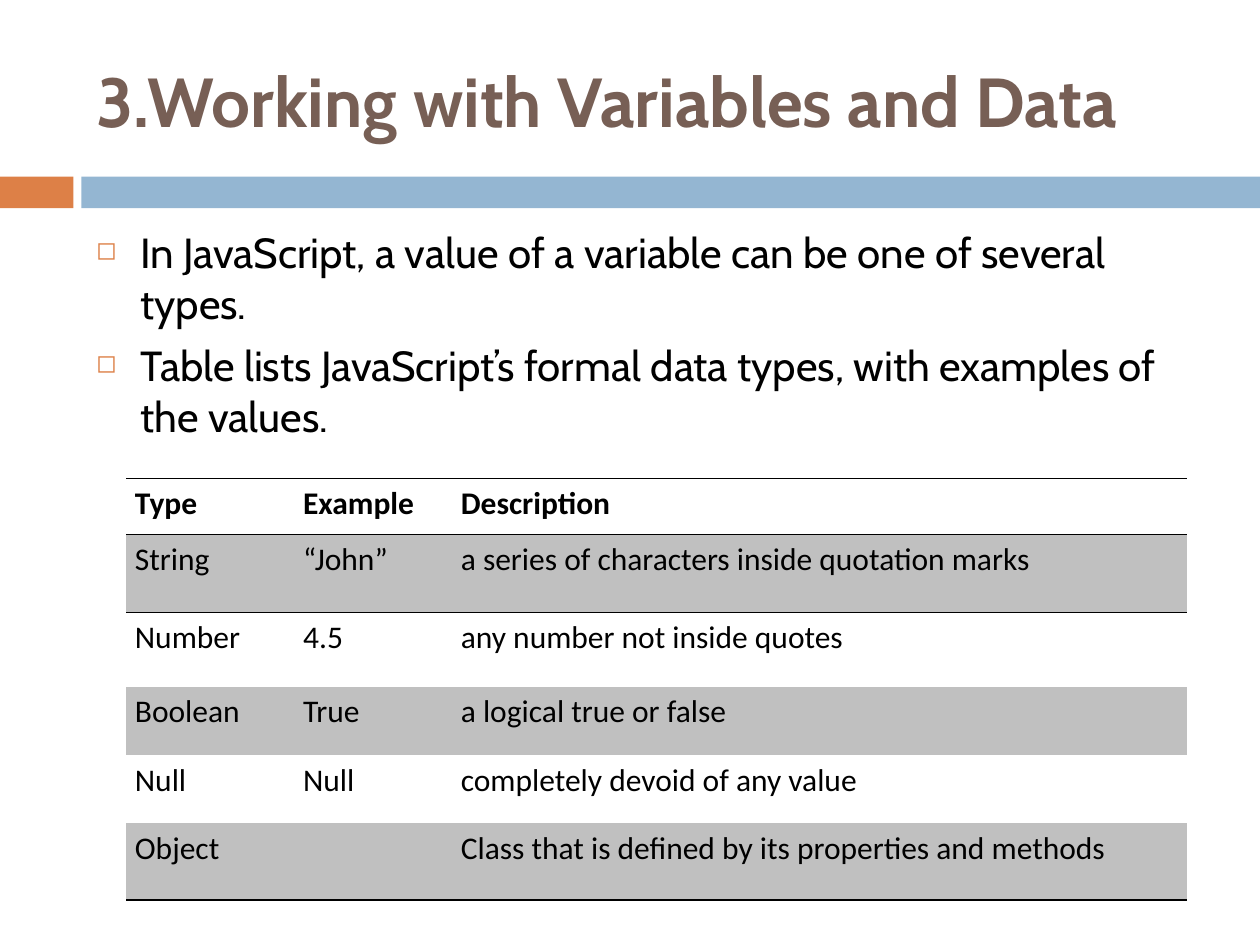
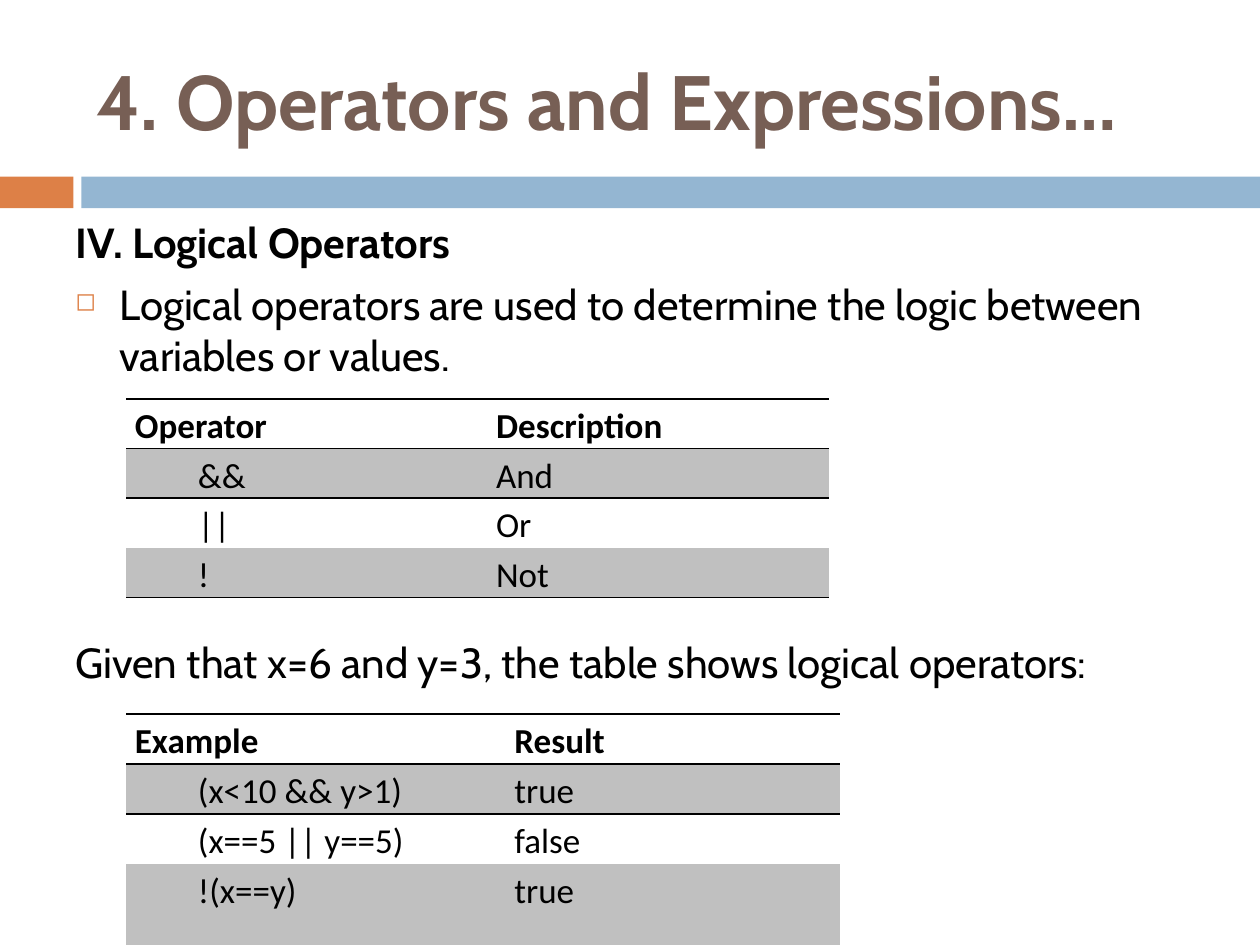
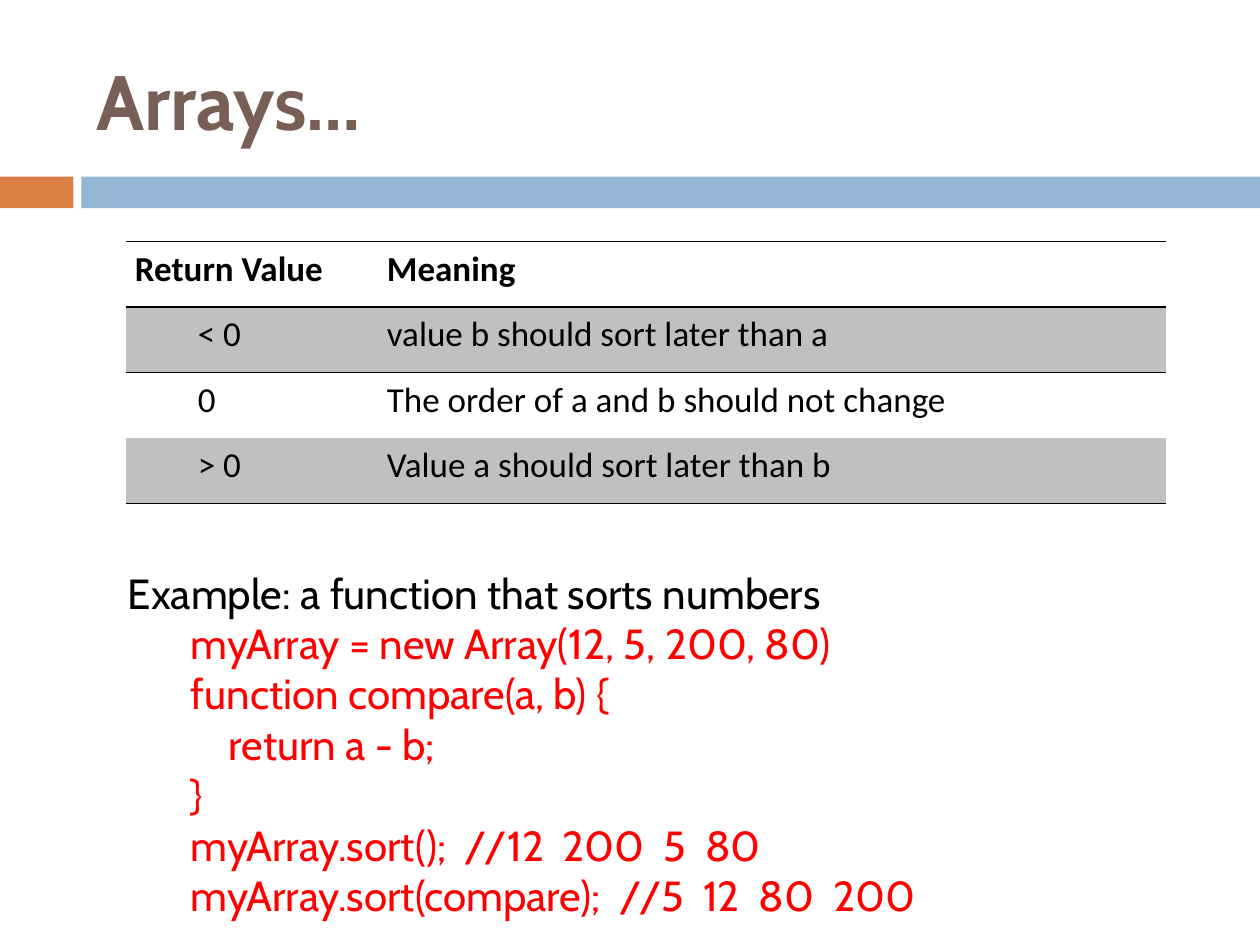
from lxml import etree
from pptx import Presentation
from pptx.dml.color import RGBColor
from pptx.enum.shapes import MSO_SHAPE
from pptx.enum.text import MSO_ANCHOR, PP_ALIGN
from pptx.oxml.ns import qn
from pptx.util import Cm, Pt

RECTANGLE = MSO_SHAPE.RECTANGLE
MIDDLE, TOP = MSO_ANCHOR.MIDDLE, MSO_ANCHOR.TOP
JUSTIFY = PP_ALIGN.JUSTIFY

COLORS = {
    "title": "775F55", "accent": "DD8047", "band": "94B6D2",
    "text": "000000", "code": "FF0000", "stripe": "C0C0C0",
}
TEXT_FONT, TABLE_FONT = "Cabin", "Calibri"
PLAIN_TABLE_STYLE = "{2D5ABB26-0587-4C30-8999-92F81FD0307C}"

SLIDE_SIZE = (25.4, 19.05)
TITLE_AREA = (1.69, 0.64, 22.67, 2.75)
BANDS = [("accent", 0, 1.48), ("band", 1.64, 23.76)]
BAND_TOP, BAND_HEIGHT = 3.56, 0.64
TABLE_LEFT = 2.54
CELL_MARGIN = 0.18
HANGING = 0.89
INDENT = 1.27

# Paragraph kinds: character formats, then paragraph formats
KINDS = {
    "title": ({"size": 44, "bold": True, "color": "title"}, {}),
    "small title": ({"size": 39.6, "bold": True, "color": "title"}, {}),
    "plain": ({}, {}),
    "heading": ({"bold": True}, {"hanging": True}),
    "bullet": ({}, {"hanging": True, "bullet": "◻", "space_before": 7}),
    "lead": ({}, {"line_spacing": 1.5}),
    "code": ({"color": "code"}, {"indent": INDENT}),
}

SLIDES = [
    {
        "title": ("small title", "3.Working with Variables and Data"),
        "texts": [
            ((1.69, 4.45, 22.67, 12.5), [
                ("bullet", "In JavaScript, a value of a variable can be one of several types."),
                ("bullet", "Table lists JavaScript’s formal data types, with examples of the values."),
            ]),
        ],
        "tables": [{
            "top": 9.65, "size": 18, "indent": 0, "closed": True,
            "columns": [3.39, 3.18, 14.82],
            "heights": [1.13, 1.57, 1.49, 1.39, 1.37, 1.54],
            "rows": [
                ("Type", "Example", "Description"),
                ("String", "“John”", "a series of characters inside quotation marks"),
                ("Number", "4.5", "any number not inside quotes"),
                ("Boolean", "True", "a logical true or false"),
                ("Null", "Null", "completely devoid of any value"),
                ("Object", "", "Class that is defined by its properties and methods"),
            ],
        }],
    },
    {
        "title": ("title", "4. Operators and Expressions…"),
        "texts": [
            ((1.27, 4.23, 23.1, 12.5), [
                ("heading", "IV. Logical Operators"),
                ("bullet", "Logical operators are used to determine the logic between variables or values."),
            ]),
            ((1.27, 12.7, 23.28, 1.28), [
                ("plain", "Given that x=6 and y=3, the table shows logical operators:"),
            ]),
        ],
        "tables": [
            {
                "top": 8.04, "size": 20, "indent": INDENT, "closed": True,
                "columns": [7.28, 6.9],
                "heights": [1] * 4,
                "rows": [
                    ("Operator", "Description"),
                    ("&&", "And"),
                    ("||", "Or"),
                    ("!", "Not"),
                ],
            },
            {
                "top": 14.39, "size": 20, "indent": INDENT, "closed": False,
                "columns": [7.65, 6.74],
                "heights": [1.01] * 3 + [1.63],
                "rows": [
                    ("Example", "Result"),
                    ("(x<10 && y>1)", "true"),
                    ("(x==5 || y==5)", "false"),
                    ("!(x==y)", "true"),
                ],
            },
        ],
    },
    {
        "title": ("title", "Arrays…"),
        "texts": [
            ((2.33, 10.8, 19.69, 8.03), [
                ("lead", "Example: a function that sorts numbers"),
                ("code", "myArray = new Array(12, 5, 200, 80)"),
                ("code", "function compare(a, b) {"),
                ("code", "    return a - b;"),
                ("code", "}"),
                ("code", "myArray.sort();  //12  200  5  80"),
                ("code", "myArray.sort(compare);  //5  12  80  200"),
            ]),
        ],
        "tables": [{
            "top": 4.87, "size": 20, "indent": INDENT, "closed": True,
            "columns": [5.08, 15.88],
            "heights": [1.32] * 4,
            "rows": [
                ("Return Value", "Meaning"),
                ("< 0", "value b should sort later than a"),
                ("0", "The order of a and b should not change"),
                ("> 0", "Value a should sort later than b"),
            ],
        }],
    },
]


def color_of(name):
    return RGBColor.from_string(COLORS[name])


def add_span(paragraph, text, size=24, name=TEXT_FONT, bold=False, color="text"):
    span = paragraph.add_run()
    span.text = text
    for attribute, value in {"size": Pt(size), "name": name, "bold": bold}.items():
        setattr(span.font, attribute, value)
    span.font.color.rgb = color_of(color)


def set_indent(paragraph, left, first=0):
    properties = paragraph._p.get_or_add_pPr()
    properties.set("marL", str(Cm(left)))
    properties.set("indent", str(Cm(first)))
    return properties


def format_paragraph(paragraph, hanging=False, bullet=None, indent=0,
                     space_before=0, line_spacing=None):
    left, first = (HANGING, -HANGING) if hanging else (indent, 0)
    properties = set_indent(paragraph, left, first)
    if bullet:
        bullet_color = etree.SubElement(properties, qn("a:buClr"))
        etree.SubElement(bullet_color, qn("a:srgbClr"), val=COLORS["accent"])
        etree.SubElement(properties, qn("a:buSzPct"), val="60000")
        etree.SubElement(properties, qn("a:buChar"), char=bullet)
    paragraph.space_before = Pt(space_before)
    if line_spacing:
        paragraph.line_spacing = line_spacing


def add_text(page, area, lines, anchor=TOP):
    box = page.shapes.add_textbox(*map(Cm, area))
    frame = box.text_frame
    frame.word_wrap = True
    frame.vertical_anchor = anchor
    for index, (kind, text) in enumerate(lines):
        paragraph = frame.add_paragraph() if index else frame.paragraphs[0]
        characters, layout = KINDS[kind]
        if index == 0:
            layout = {**layout, "space_before": 0}
        format_paragraph(paragraph, **layout)
        add_span(paragraph, text, **characters)


def add_bands(page):
    for color, left, width in BANDS:
        band = page.shapes.add_shape(
            RECTANGLE, Cm(left), Cm(BAND_TOP), Cm(width), Cm(BAND_HEIGHT))
        band.shadow.inherit = False
        band.fill.solid()
        band.fill.fore_color.rgb = color_of(color)
        band.line.fill.background()


def add_rules(cell, edges):
    """Draw black lines on the given edges, listed top before bottom."""
    properties = cell._tc.get_or_add_tcPr()
    for position, edge in enumerate(edges):
        line = etree.Element(qn(f"a:ln{edge}"), w=str(Pt(1)))
        fill = etree.SubElement(line, qn("a:solidFill"))
        etree.SubElement(fill, qn("a:srgbClr"), val=COLORS["text"])
        properties.insert(position, line)


def fill_cell(cell, text, size, header, striped, indent):
    margins = {"margin_left": CELL_MARGIN, "margin_right": CELL_MARGIN,
               "margin_top": 0, "margin_bottom": 0}
    for attribute, value in margins.items():
        setattr(cell, attribute, Cm(value))
    if striped:
        cell.fill.solid()
        cell.fill.fore_color.rgb = color_of("stripe")
    else:
        cell.fill.background()
    paragraph = cell.text_frame.paragraphs[0]
    paragraph.alignment = JUSTIFY
    paragraph.line_spacing = 1.15
    set_indent(paragraph, indent)
    if text:
        add_span(paragraph, text, size=size, name=TABLE_FONT, bold=header)


def add_data_table(page, data):
    rows, columns, heights = data["rows"], data["columns"], data["heights"]
    holder = page.shapes.add_table(
        len(rows), len(columns), Cm(TABLE_LEFT), Cm(data["top"]),
        Cm(sum(columns)), Cm(sum(heights)))
    table = holder.table
    table.first_row = table.horz_banding = False
    table._tbl.tblPr.find(qn("a:tableStyleId")).text = PLAIN_TABLE_STYLE
    for column, width in zip(table.columns, columns):
        column.width = Cm(width)
    last = len(rows) - 1
    for row_index, (texts, height) in enumerate(zip(rows, heights)):
        table.rows[row_index].height = Cm(height)
        header = row_index == 0
        edges = "T" if row_index < 2 else ""
        if header or (row_index == last and data["closed"]):
            edges += "B"
        for column_index, text in enumerate(texts):
            cell = table.cell(row_index, column_index)
            indent = 0 if header or column_index else data["indent"]
            fill_cell(cell, text, data["size"], header, row_index % 2 == 1, indent)
            add_rules(cell, edges)


def main():
    deck = Presentation()
    deck.slide_width, deck.slide_height = map(Cm, SLIDE_SIZE)
    for content in SLIDES:
        page = deck.slides.add_slide(deck.slide_layouts[6])
        add_bands(page)
        add_text(page, TITLE_AREA, [content["title"]], MIDDLE)
        for area, lines in content["texts"]:
            add_text(page, area, lines)
        for data in content["tables"]:
            add_data_table(page, data)
    deck.save("out.pptx")


if __name__ == "__main__":
    main()
